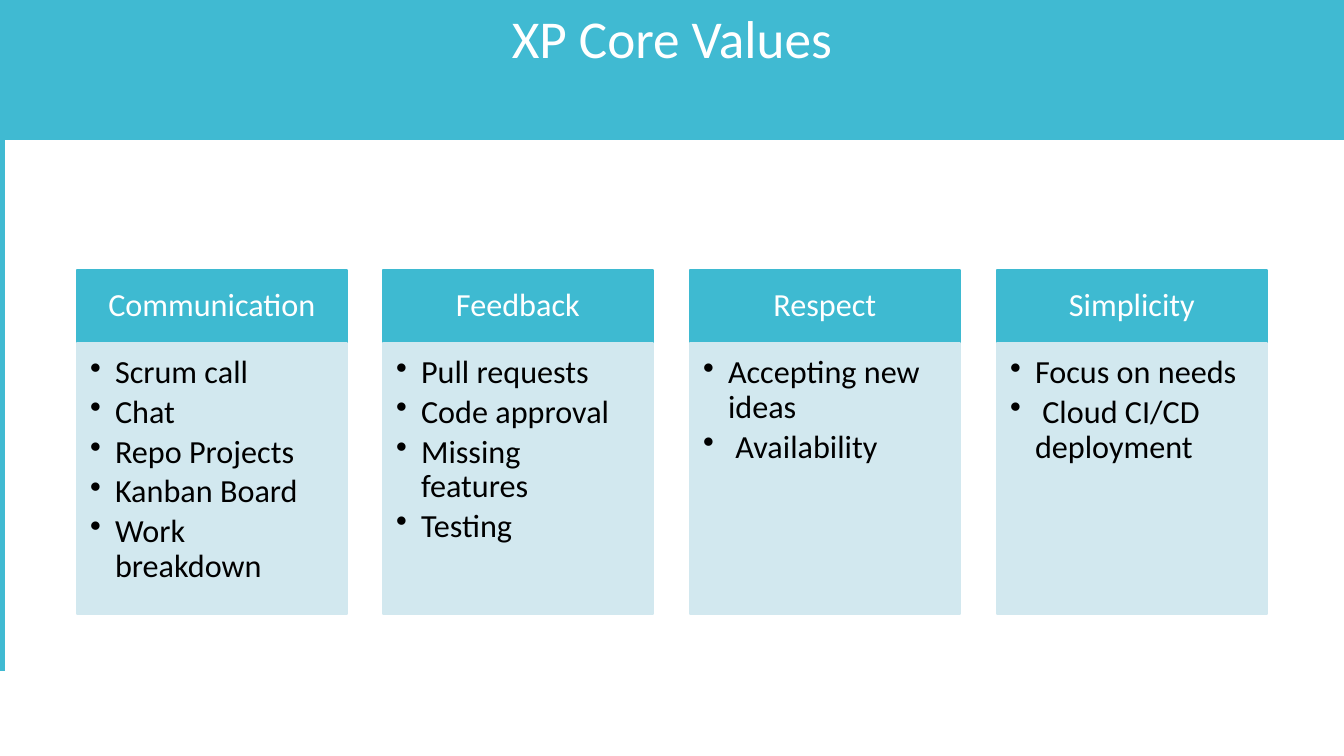
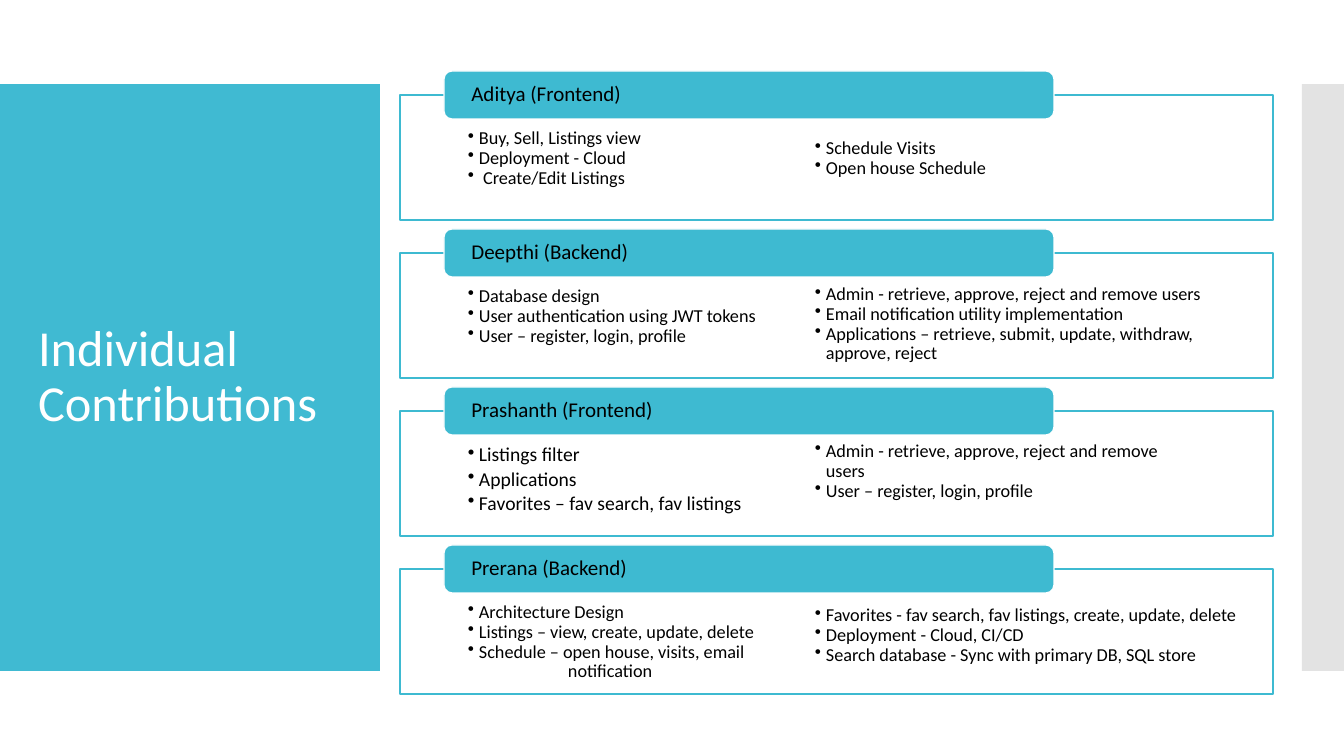
"""Build two slides: XP core values and individual contributions."""
from lxml.etree import SubElement
from pptx import Presentation
from pptx.dml.color import RGBColor
from pptx.enum.shapes import MSO_SHAPE as Shape
from pptx.enum.text import MSO_ANCHOR as Anchor, PP_ALIGN as Align
from pptx.oxml.ns import qn
from pptx.util import Pt

PX = 9071
FONT = "Calibri"
PANEL, ACCENT, TINT, SIDE = "40BAD2", "3EBAD1", "D2E8EF", "E3E3E3"
WHITE, BLACK = "FFFFFF", "000000"
colour = RGBColor.from_string


def add_box(page, bounds, fill=None, line=None, kind=Shape.RECTANGLE):
    """Add a shape at bounds given in px, without shadow."""
    box = page.shapes.add_shape(kind, *[length * PX for length in bounds])
    box.shadow.inherit = False
    if fill:
        box.fill.solid()
        box.fill.fore_color.rgb = colour(fill)
    else:
        box.fill.background()
    if line:
        box.line.color.rgb = colour(line)
        box.line.width = Pt(0.85)
    else:
        box.line.fill.background()
    return box


def write(box, lines, size, ink=BLACK, margins=(10, 5, 10, 5), anchor=Anchor.TOP,
          align=Align.LEFT, spacing=0.9, before=0, bullet=None):
    """Fill a box with paragraphs; bullet is (margin, hang) in px."""
    frame = box.text_frame
    frame.word_wrap = True
    frame.vertical_anchor = anchor
    (frame.margin_left, frame.margin_top,
     frame.margin_right, frame.margin_bottom) = [margin * PX for margin in margins]
    for index, line in enumerate(lines):
        para = frame.add_paragraph() if index else frame.paragraphs[0]
        para.text = line
        para.alignment = align
        para.line_spacing = spacing
        para.space_before = Pt(before if index else 0)
        if bullet:
            properties = para._p.get_or_add_pPr()
            properties.set("marL", str(bullet[0] * PX))
            properties.set("indent", str(-bullet[1] * PX))
            tone = SubElement(properties, qn("a:buClr"))
            SubElement(tone, qn("a:srgbClr")).set("val", ink)
            SubElement(properties, qn("a:buChar")).set("char", "•")
        para.font.size = Pt(size)
        para.font.name = FONT
        para.font.color.rgb = colour(ink)


deck = Presentation()
deck.slide_width, deck.slide_height = 1344 * PX, 756 * PX
blank = deck.slide_layouts[6]

values = [
    ("Communication", ["Scrum call", "Chat", "Repo Projects", "Kanban Board",
                       "Work breakdown"]),
    ("Feedback", ["Pull requests", "Code approval", "Missing features", "Testing"]),
    ("Respect", ["Accepting new ideas", " Availability"]),
    ("Simplicity", ["Focus on needs", " Cloud CI/CD deployment"]),
]
page = deck.slides.add_slide(blank)
add_box(page, (0, 84, 5, 587), PANEL)
for column, (heading, points) in enumerate(values):
    left = 77 + column * 920 // 3
    head = add_box(page, (left, 270, 270, 73), ACCENT, ACCENT)
    write(head, [heading], 23, WHITE, (18, 10, 18, 10), Anchor.MIDDLE, Align.CENTER)
    body = add_box(page, (left, 343, 270, 271), TINT, TINT)
    write(body, points, 23, margins=(13, 13, 18, 20), before=3.5, bullet=(25, 25))
band = add_box(page, (0, 0, 1344, 140), PANEL)
write(band, ["XP Core Values"], 38, WHITE, align=Align.CENTER, spacing=1.0)

members = [
    ("Aditya (Frontend)", 13, 0,
     ["Buy, Sell, Listings view", "Deployment - Cloud", " Create/Edit Listings"],
     (747, 105, 501, 108), ["Schedule Visits", "Open house Schedule"]),
    ("Deepthi (Backend)", 13, 0,
     ["Database design", "User authentication using JWT tokens",
      "User – register, login, profile"],
     (747, 251, 566, 117),
     ["Admin - retrieve, approve, reject and remove users",
      "Email notification utility implementation",
      "Applications – retrieve, submit, update, withdraw, approve, reject"]),
    ("Prashanth (Frontend)", 14, 2.2,
     ["Listings filter", "Applications", "Favorites – fav search, fav listings"],
     (747, 408, 501, 125),
     ["Admin - retrieve, approve, reject and remove users",
      "User – register, login, profile"]),
    ("Prerana (Backend)", 13, 0,
     ["Architecture Design", "Listings – view, create, update, delete",
      "Schedule – open house, visits, email", "notification"],
     (747, 572, 597, 105),
     ["Favorites - fav search, fav listings, create, update, delete",
      "Deployment - Cloud, CI/CD",
      "Search database - Sync with primary DB, SQL store"]),
]
inset = (67, 34, 67, 12)
page = deck.slides.add_slide(blank)
add_box(page, (0, 84, 380, 587), PANEL)
add_box(page, (1302, 84, 42, 587), SIDE)
title = add_box(page, (28, 124, 325, 507))
write(title, ["Individual Contributions"], 36, WHITE, anchor=Anchor.MIDDLE)
for row, (name, size, before, tasks, bounds, more_tasks) in enumerate(members):
    top = 95 + row * 158
    card = add_box(page, (400, top, 873, 125), WHITE, ACCENT)
    write(card, tasks, size, margins=inset, before=before, bullet=(12, 11))
    label = add_box(page, (444, top - 24, 610, 48), ACCENT, WHITE, Shape.ROUNDED_RECTANGLE)
    label.adjustments[0] = 0.17
    write(label, [name], 15, margins=(25, 0, 25, 0), anchor=Anchor.MIDDLE)
    write(add_box(page, bounds), more_tasks, 13, margins=inset, bullet=(12, 11))

continuation = card.text_frame.paragraphs[-1]._p.pPr
continuation.set("marL", str(101 * PX))
continuation.set("indent", "0")
for tag in ("a:buClr", "a:buChar"):
    continuation.remove(continuation.find(qn(tag)))
SubElement(continuation, qn("a:buNone"))
continuation.insert_element_before(continuation.find(qn("a:buNone")), "a:defRPr")

deck.save("out.pptx")
